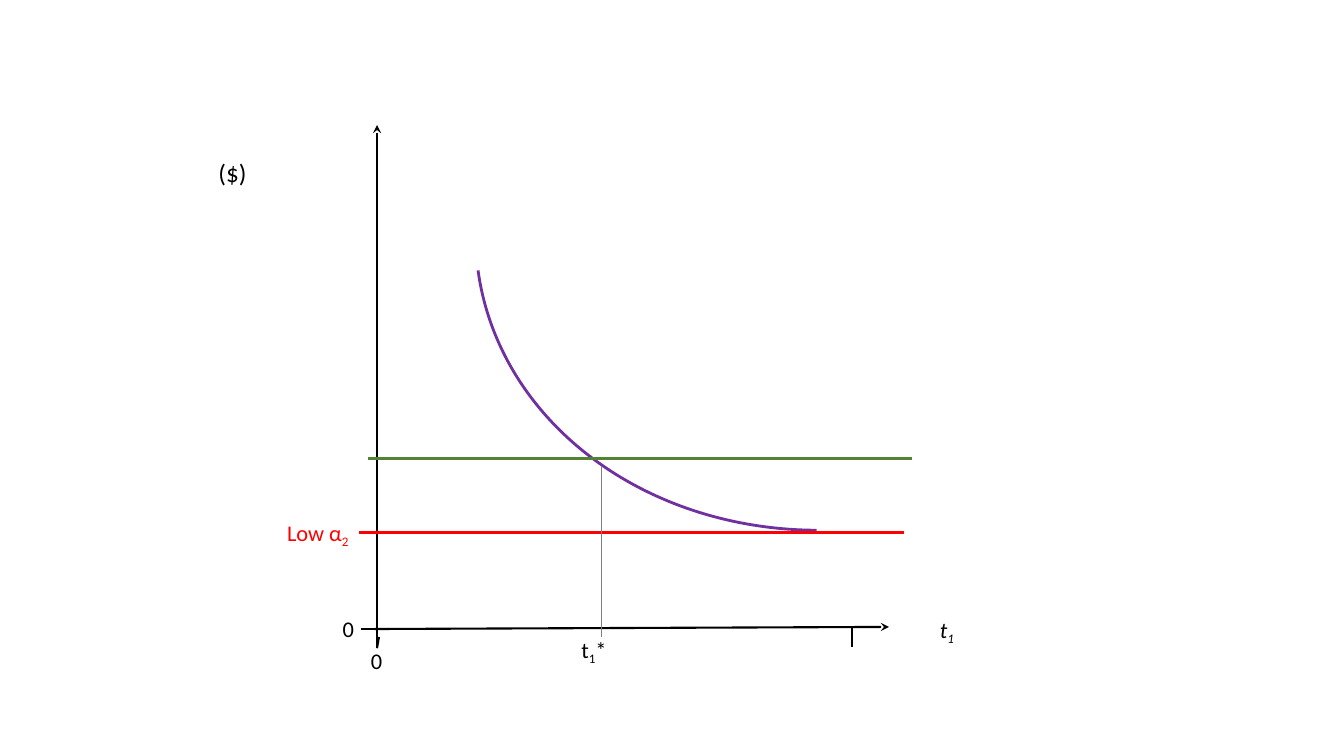
"""Build a slide with a declining curve crossing two cost lines."""
from lxml.etree import SubElement
from pptx import Presentation
from pptx.dml.color import RGBColor
from pptx.enum.shapes import MSO_CONNECTOR, MSO_SHAPE
from pptx.enum.text import PP_ALIGN
from pptx.oxml.ns import qn
from pptx.util import Pt


def color(value):
    return RGBColor.from_string(value)


presentation = Presentation()
presentation.slide_width = Pt(960)
presentation.slide_height = Pt(540)
slide = presentation.slides.add_slide(presentation.slide_layouts[6])

BLACK, RED, PURPLE, GREEN, GRAY = "000000", "FF0000", "7030A0", "548235", "7F7F7F"

curve = slide.shapes.add_shape(MSO_SHAPE.ARC, Pt(339.1), Pt(-61.2), Pt(511.9), Pt(439.2))
curve.adjustments[0] = 168.514
curve.adjustments[1] = 0
curve.rotation = 172.2
curve.shadow.inherit = False
curve.fill.background()
curve.line.color.rgb = color(PURPLE)
curve.line.width = Pt(2)

lines = [
    (269.3, 89.3, 269.3, 462.2, BLACK, 1.5, True),
    (635, 447.8, 267.8, 449.3, BLACK, 1.5, True),
    (269.3, 463, 270.7, 455, BLACK, 1.5, False),
    (257.8, 449.3, 270.7, 449.3, BLACK, 1.5, False),
    (608.4, 447.8, 608.4, 462.2, BLACK, 1.5, False),
    (256.3, 380.2, 645.8, 380.2, RED, 2, False),
    (429.8, 332.6, 429.8, 455, GRAY, 0.5, False),
    (262.8, 327.6, 651.6, 327.6, GREEN, 2, False),
]
for x1, y1, x2, y2, line_color, width, has_arrow in lines:
    connector = slide.shapes.add_connector(
        MSO_CONNECTOR.STRAIGHT, Pt(x1), Pt(y1), Pt(x2), Pt(y2))
    connector.line.color.rgb = color(line_color)
    connector.line.width = Pt(width)
    properties = connector._element.spPr
    if has_arrow:
        SubElement(properties.find(qn("a:ln")), qn("a:headEnd"), type="stealth")
    SubElement(properties, qn("a:effectLst"))

labels = [
    (149, 108.7, 98.6, 29, ["($)"], 18, BLACK, False),
    (257.8, 458.6, 31, 26.6, ["0"], 16, BLACK, False),
    (237.6, 435.6, 20.2, 26.6, ["0"], 16, BLACK, False),
    (645.8, 436.3, 61.2, 26.6, ["t", "1"], 16, BLACK, True),
    (198, 367.2, 62.6, 26.6, ["Low α", "2"], 16, RED, False),
    (408.2, 450.7, 43.9, 26.6, ["t", "1", "*"], 16, BLACK, False),
]
for left, top, width, height, parts, size, text_color, is_variable in labels:
    text_frame = slide.shapes.add_textbox(Pt(left), Pt(top), Pt(width), Pt(height)).text_frame
    text_frame.word_wrap = True
    paragraph = text_frame.paragraphs[0]
    paragraph.alignment = PP_ALIGN.CENTER if is_variable else PP_ALIGN.LEFT
    paragraph.font.name = "Calibri"
    paragraph.font.size = Pt(size)
    paragraph.font.italic = is_variable
    paragraph.font.color.rgb = color(text_color)
    for index, part in enumerate(parts):
        run = paragraph.add_run()
        run.text = part
        if index == 1:
            run.font._element.set("baseline", "-25000")

presentation.save("out.pptx")
